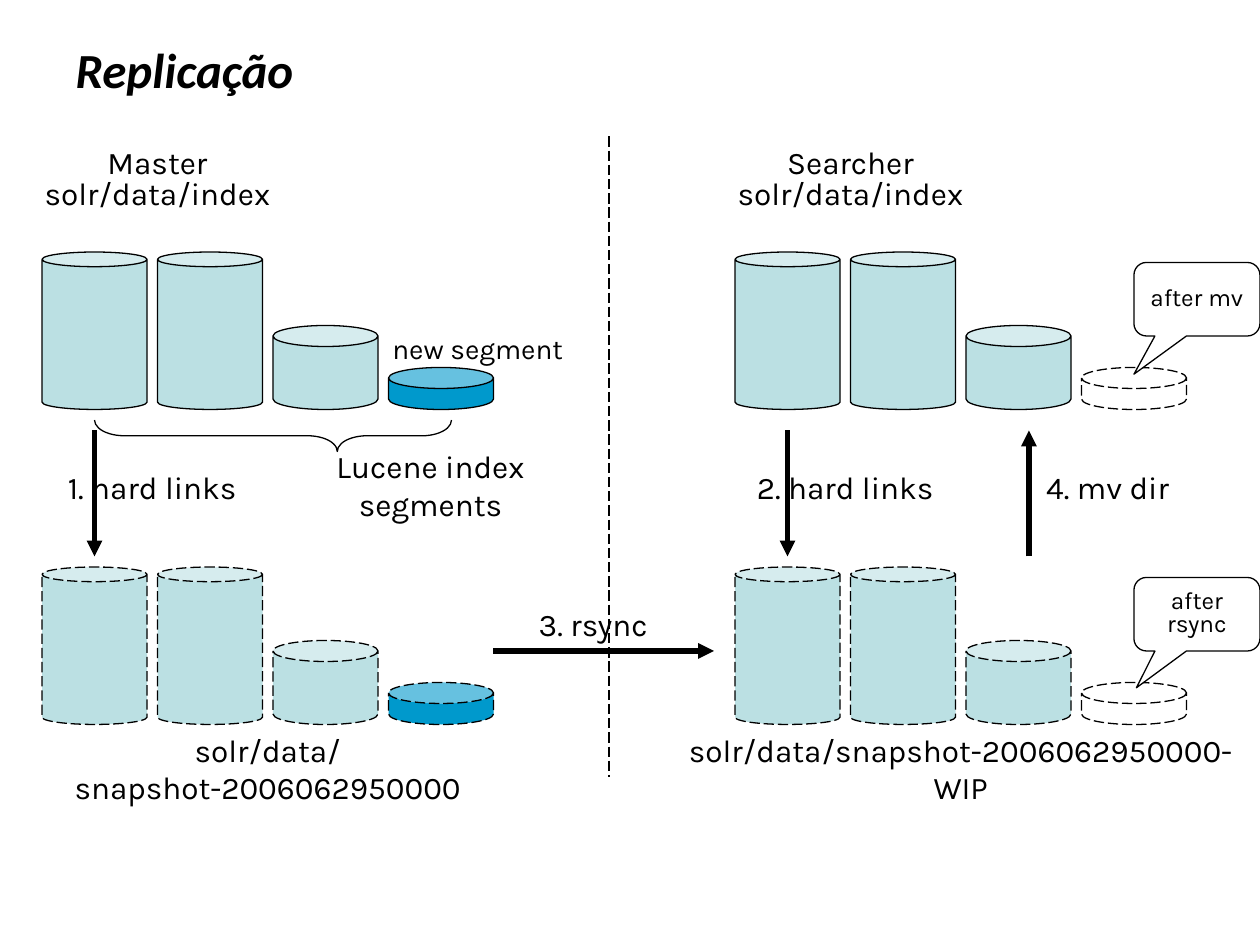
from lxml import etree
from pptx import Presentation
from pptx.dml import color
from pptx.enum import dml, shapes, text
from pptx.oxml import ns
from pptx.util import Pt

COLORS = {"ink": "000000", "paper": "FFFFFF", "segment": "BBE0E3", "new": "0099CC"}
FONT = "Karla"
SEGMENT_WIDTH, SEGMENT_PITCH = 60, 66
SEGMENT_HEIGHTS = [90, 90, 48, 24]
ROW_HEIGHT = max(SEGMENT_HEIGHTS)
ROW_GAP = 180


def rgb(name):
    return color.RGBColor.from_string(COLORS[name])


def style_line(line, width=0.75, dashed=False):
    line.color.rgb = rgb("ink")
    line.width = Pt(width)
    if dashed:
        line.dash_style = dml.MSO_LINE.LONG_DASH


def style_font(font, size, name=FONT):
    font.size = Pt(size)
    font.name = name
    font.color.rgb = rgb("ink")


def add_outline(page, kind, left, top, width, height, fill=None, dashed=False):
    shape = page.shapes.add_shape(kind, Pt(left), Pt(top), Pt(width), Pt(height))
    shape.shadow.inherit = False
    if fill:
        shape.fill.solid()
        shape.fill.fore_color.rgb = rgb(fill)
    else:
        shape.fill.background()
    style_line(shape.line, dashed=dashed)
    return shape


def add_label(page, words, left, top, width, height=29, size=18):
    box = page.shapes.add_textbox(Pt(left), Pt(top), Pt(width), Pt(height))
    box.text_frame.word_wrap = True
    para = box.text_frame.paragraphs[0]
    para.text = words
    para.alignment = text.PP_ALIGN.CENTER
    style_font(para.font, size)


def add_line(page, start, end, width=0.75, dashed=False, arrow=False):
    line = page.shapes.add_connector(
        shapes.MSO_CONNECTOR.STRAIGHT, *(Pt(value) for value in (*start, *end)))
    style_line(line.line, width, dashed)
    if arrow:
        etree.SubElement(line.line._get_or_add_ln(), ns.qn("a:tailEnd"), type="triangle")
    etree.SubElement(line._element.spPr, ns.qn("a:effectLst"))


def add_callout(page, words, left, top, tip):
    callout = add_outline(page, shapes.MSO_SHAPE.ROUNDED_RECTANGULAR_CALLOUT,
                          left, top, 72, 42, "paper")
    for index, value in enumerate((*tip, 0.17)):
        callout.adjustments[index] = value
    frame = callout.text_frame
    frame.word_wrap = True
    frame.vertical_anchor = text.MSO_ANCHOR.MIDDLE
    para = frame.paragraphs[0]
    para.text = words
    para.alignment = text.PP_ALIGN.CENTER
    para.line_spacing = 0.8
    style_font(para.font, 13.9)


def add_segments(page, left, top, newest_fill, dashed_from):
    for index, height in enumerate(SEGMENT_HEIGHTS):
        newest = index == len(SEGMENT_HEIGHTS) - 1
        can = add_outline(page, shapes.MSO_SHAPE.CAN, left + index * SEGMENT_PITCH,
                          top + ROW_HEIGHT - height, SEGMENT_WIDTH, height,
                          newest_fill if newest else "segment", index >= dashed_from)
        can.adjustments[0] = min(0.5, 12 / height) if height < SEGMENT_WIDTH else 0.14


def add_server(page, left, top, name, newest_fill, dashed_from, link_label, link_left):
    add_label(page, name, left - 12, top, 156)
    add_label(page, "solr/data/index", left - 12, top + 18, 156)
    add_segments(page, left, top + 66, newest_fill, dashed_from)
    add_segments(page, left, top + 66 + ROW_GAP, newest_fill, 0)
    add_line(page, (left + 30, top + 168), (left + 30, top + 240), 3, arrow=True)
    add_label(page, link_label, left + link_left, top + 186, 138)


def add_master(page, left, top):
    add_server(page, left, top, "Master", "new", 4, "1. hard links", -6)
    add_label(page, "new segment", left + 180, top + 108, 138, 27, 16)
    add_label(page, "solr/data/snapshot-2006062950000", left - 24, top + 336, 306, 50)
    brace = add_outline(page, shapes.MSO_SHAPE.RIGHT_BRACE, left + 123, top + 69, 18, 204)
    brace.rotation = 90
    brace.adjustments[0] = 0.94
    brace.adjustments[1] = 0.32
    add_label(page, "Lucene index segments", left + 120, top + 174, 204, 50)


def add_searcher(page, left, top):
    add_server(page, left, top, "Searcher", "paper", 3, "2. hard links", -6)
    add_label(page, "solr/data/snapshot-2006062950000-WIP", left - 42, top + 336, 342, 50)
    add_line(page, (left + 168, top + 240), (left + 168, top + 168), 3, arrow=True)
    add_label(page, "4. mv dir", left + 144, top + 186, 138)
    add_callout(page, "after mv", left + 228, top + 72, (-0.5, 1.02))
    add_callout(page, "after rsync", left + 228, top + 72 + ROW_GAP, (-0.48, 1))


def add_transfer(page, left, top):
    add_line(page, (left + 12, top + 30), (left + 138, top + 30), 3, arrow=True)
    add_label(page, "3. rsync", left, top, 138)


def set_title(page, words, left, top, width, height):
    title = page.shapes.title
    title.left, title.top, title.width, title.height = map(Pt, (left, top, width, height))
    frame = title.text_frame
    frame.auto_size = text.MSO_AUTO_SIZE.NONE
    frame.vertical_anchor = text.MSO_ANCHOR.MIDDLE
    para = frame.paragraphs[0]
    para.text = words
    para.alignment = text.PP_ALIGN.LEFT
    para.line_spacing = 0.9
    style_font(para.font, 28, "Calibri")
    para.font.bold = True
    para.font.italic = True


def main():
    deck = Presentation()
    deck.slide_width, deck.slide_height = Pt(720), Pt(540)
    page = deck.slides.add_slide(deck.slide_layouts[5])
    set_title(page, "Replicação", 36, 15, 648, 53)
    add_master(page, 24, 78)
    add_searcher(page, 420, 78)
    add_transfer(page, 270, 342)
    add_line(page, (348, 78), (348, 444), dashed=True)
    deck.save("out.pptx")


if __name__ == "__main__":
    main()
